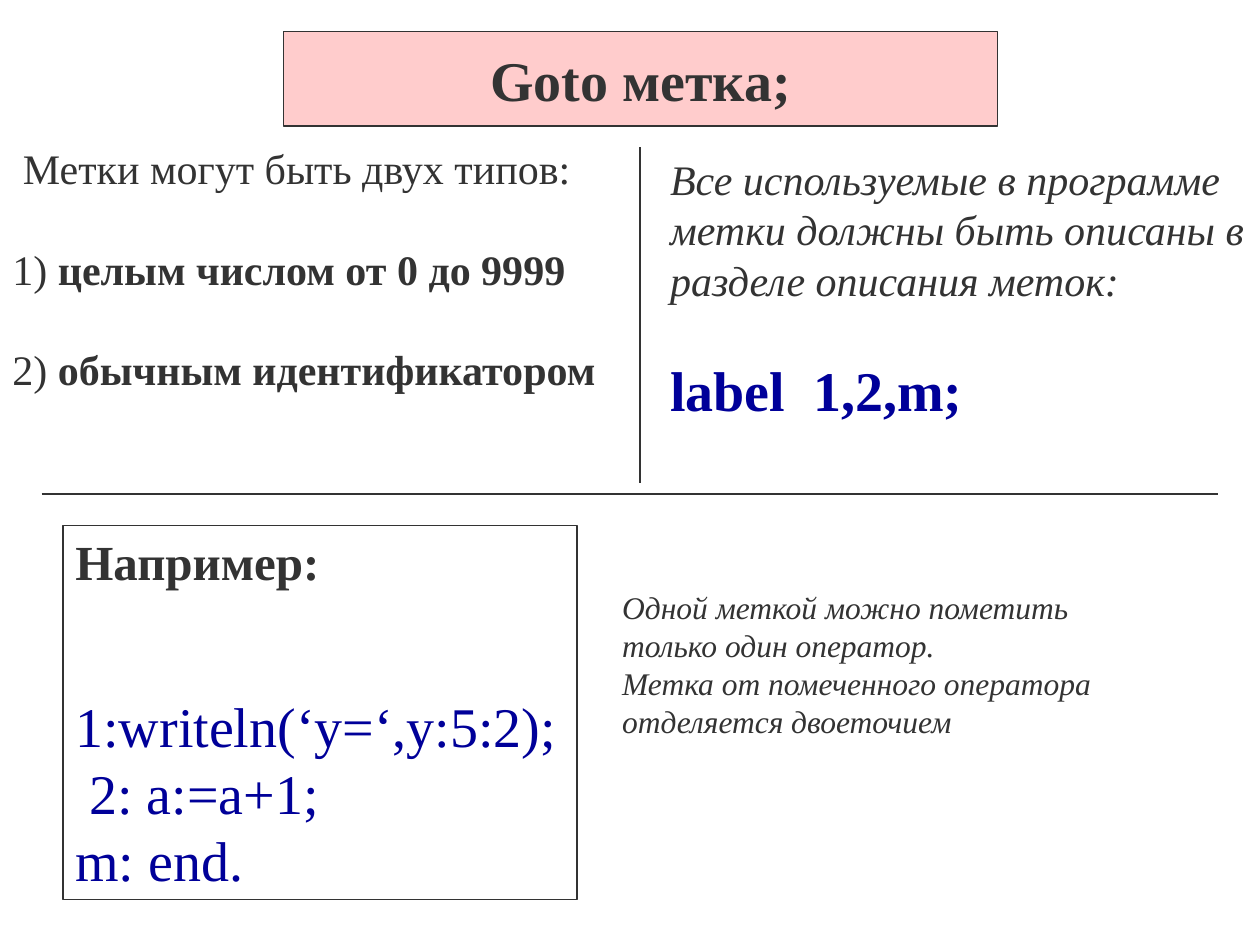
import pptx
import pptx.dml.color
import pptx.enum.shapes
import pptx.enum.text
import pptx.oxml.ns
import pptx.util
from lxml import etree
from pptx.util import Inches

COLORS = {"ink": "333333", "code": "000099", "title_fill": "FFCCCC"}
FONT = "Times New Roman"
BLANK_LINE = 28.8


def rgb(name):
    """Return the named colour."""
    return pptx.dml.color.RGBColor.from_string(COLORS[name])


def add_run(paragraph, text, color="ink", **formats):
    """Add a run with the given font values."""
    run = paragraph.add_run()
    run.text = text
    values = {"name": FONT, "bold": False, "italic": False, **formats}
    values["size"] = pptx.util.Pt(values["size"])
    for name, value in values.items():
        setattr(run.font, name, value)
    run.font.color.rgb = rgb(color)


def fill_text(shape, paragraphs, wrap=False, grow=True, anchor="TOP", align="LEFT"):
    """Write paragraphs given as pairs of space before and runs."""
    frame = shape.text_frame
    sizing = pptx.enum.text.MSO_AUTO_SIZE
    settings = {
        "word_wrap": wrap,
        "auto_size": sizing.SHAPE_TO_FIT_TEXT if grow else sizing.NONE,
        "vertical_anchor": getattr(pptx.enum.text.MSO_ANCHOR, anchor),
    }
    for name, value in settings.items():
        setattr(frame, name, value)
    for index, (space, runs) in enumerate(paragraphs):
        paragraph = frame.add_paragraph() if index else frame.paragraphs[0]
        paragraph.alignment = getattr(pptx.enum.text.PP_ALIGN, align)
        if space:
            paragraph.space_before = pptx.util.Pt(space)
        for text, formats in runs:
            add_run(paragraph, text, **formats)


def add_frame(slide, box, fill=None):
    """Add an outlined rectangle."""
    shape = slide.shapes.add_shape(pptx.enum.shapes.MSO_SHAPE.RECTANGLE, *map(Inches, box))
    shape.shadow.inherit = False
    if fill:
        shape.fill.solid()
        shape.fill.fore_color.rgb = rgb(fill)
    else:
        shape.fill.background()
    shape.line.color.rgb = rgb("ink")
    shape.line.width = pptx.util.Pt(0.75)
    return shape


def add_text(slide, box, paragraphs, wrap=False):
    """Add a text box with its paragraphs."""
    fill_text(slide.shapes.add_textbox(*map(Inches, box)), paragraphs, wrap)


def add_divider(slide, start, end):
    """Add a thin dividing line."""
    line = slide.shapes.add_connector(
        pptx.enum.shapes.MSO_CONNECTOR.STRAIGHT, *map(Inches, start + end)
    )
    line.line.color.rgb = rgb("ink")
    line.line.width = pptx.util.Pt(0.75)
    etree.SubElement(line._element.spPr, pptx.oxml.ns.qn("a:effectLst"))


def add_title(slide, box):
    """Add the title banner."""
    runs = [("Goto метка;", {"size": 32, "bold": True})]
    shape = add_frame(slide, box, "title_fill")
    fill_text(shape, [(0, runs)], grow=False, anchor="MIDDLE", align="CENTER")


def add_label_types(slide, box):
    """Add the two kinds of labels."""
    plain = {"size": 24}
    bold = {"size": 24, "bold": True}
    kinds = ["целым числом от 0 до 9999", "обычным идентификатором"]
    paragraphs = [(0, [(" Метки могут быть двух типов:", plain)])]
    for number, kind in enumerate(kinds, 1):
        paragraphs.append((BLANK_LINE, [(f"{number}) ", plain), (kind, bold)]))
    add_text(slide, box, paragraphs)


def add_declaration(slide, box):
    """Add the rule and an example of declaring labels."""
    lines = [
        "Все используемые в программе",
        "метки должны быть описаны в",
        "разделе описания меток:",
    ]
    paragraphs = [(0, [(line, {"size": 24, "italic": True})]) for line in lines]
    code = {"size": 32, "bold": True, "color": "code"}
    paragraphs.append((BLANK_LINE, [("label  1,2,m;", code)]))
    add_text(slide, box, paragraphs)


def add_example(slide, box):
    """Add the framed code example."""
    lines = ["1:writeln(‘y=‘,y:5:2);", " 2: а:=а+1;", "m: end."]
    paragraphs = [(0, [("Например:", {"size": 28, "bold": True})])]
    for index, line in enumerate(lines):
        space = 0 if index else 2 * BLANK_LINE
        paragraphs.append((space, [(line, {"size": 32, "color": "code"})]))
    fill_text(add_frame(slide, box), paragraphs, wrap=True)


def add_remark(slide, box):
    """Add the remark beside the example."""
    sentences = [
        "Одной меткой можно пометить только один оператор.",
        "Метка от помеченного оператора отделяется двоеточием",
    ]
    style = {"size": 18, "italic": True}
    add_text(slide, box, [(0, [(text, style)]) for text in sentences], wrap=True)


def main():
    """Build and save the slide."""
    presentation = pptx.Presentation()
    presentation.slide_width = Inches(10)
    presentation.slide_height = Inches(7.5)
    slide = presentation.slides.add_slide(presentation.slide_layouts[6])
    add_title(slide, (2.25, 0.25, 5.67, 0.75))
    add_label_types(slide, (0, 1.08, 4.85, 2.5))
    add_declaration(slide, (5.22, 1.17, 4.77, 2.77))
    add_divider(slide, (5.08, 1.17), (5.08, 3.83))
    add_divider(slide, (0.33, 3.92), (9.67, 3.92))
    add_example(slide, (0.5, 4.17, 4.08, 2.97))
    add_remark(slide, (4.84, 4.62, 4.33, 1.3))
    presentation.save("out.pptx")


if __name__ == "__main__":
    main()
